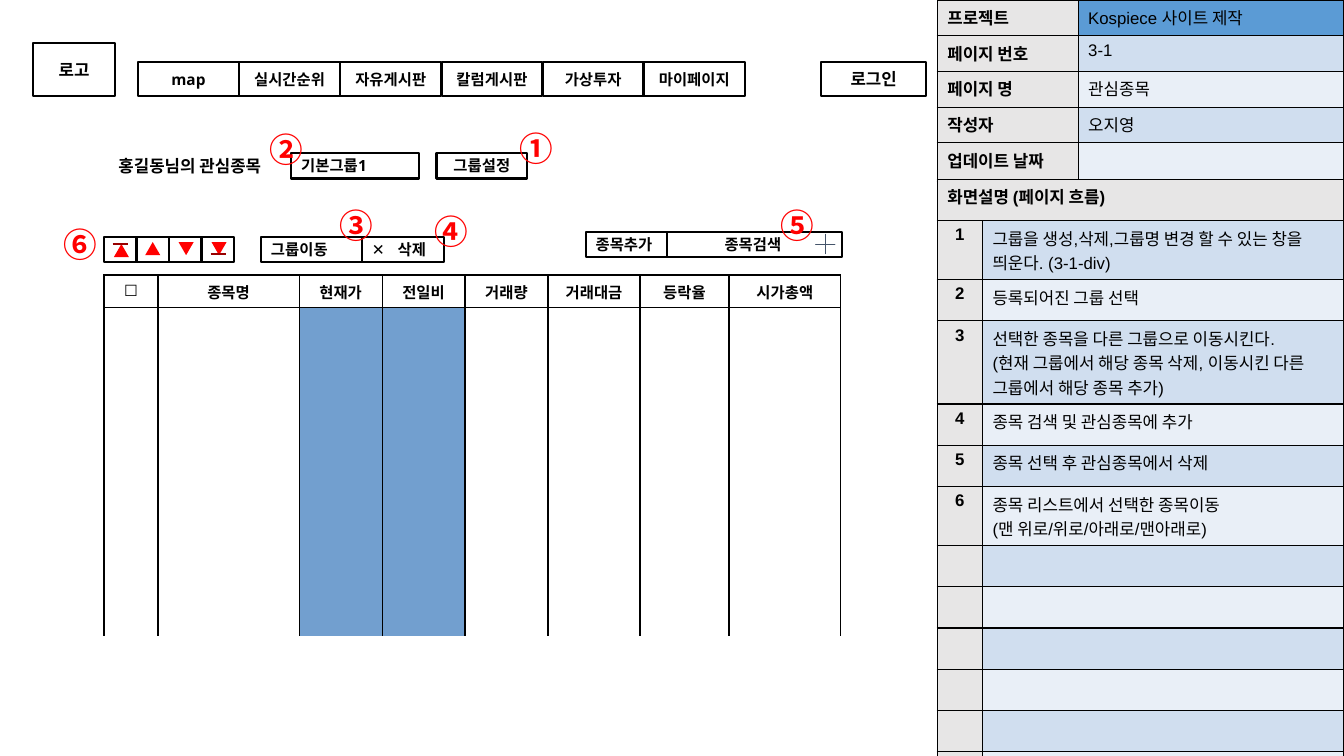
from lxml import etree
from pptx import Presentation
from pptx import util as u
from pptx.dml.color import RGBColor
from pptx.enum import shapes, text
from pptx.oxml.ns import qn

BLACK = RGBColor(0x00, 0x00, 0x00)
WHITE = RGBColor(0xFF, 0xFF, 0xFF)
RED = RGBColor(0xFF, 0x00, 0x00)
DARK_RED = RGBColor(0x98, 0x00, 0x00)
GRAY = RGBColor(0xE7, 0xE6, 0xE6)
SLATE = RGBColor(0x44, 0x54, 0x6A)
HEAD_BLUE = RGBColor(0x5B, 0x9B, 0xD5)
PRICE_BLUE = RGBColor(0x72, 0x9F, 0xCF)
BANDS = (RGBColor(0xD0, 0xDE, 0xEF), RGBColor(0xE9, 0xEF, 0xF7))

LEFT, CENTER = text.PP_ALIGN.LEFT, text.PP_ALIGN.CENTER
TOP, MIDDLE = text.MSO_ANCHOR.TOP, text.MSO_ANCHOR.MIDDLE
KOREAN = "Noto Sans CJK KR"


def write_text(tf, content, size=11, font="Open Sans", color=BLACK, bold=True,
               align=CENTER, indent=None, tab=None):
    """Write one paragraph per line of content."""
    for i, line in enumerate(content.split("\n")):
        p = tf.paragraphs[0] if i == 0 else tf.add_paragraph()
        p.alignment = align
        pPr = p._p.get_or_add_pPr()
        if indent:
            pPr.set("marL", str(u.Cm(indent)))
        if tab:
            tabs = etree.SubElement(pPr, qn("a:tabLst"))
            etree.SubElement(tabs, qn("a:tab"), pos=str(u.Cm(tab)), algn="l")
        r = p.add_run()
        r.text = line
        r.font.size, r.font.bold, r.font.name = u.Pt(size), bold, font
        r.font.color.rgb = color
        latin = r._r.get_or_add_rPr().find(qn("a:latin"))
        latin.addnext(latin.makeelement(qn("a:ea"), {"typeface": KOREAN}))


class Wireframe:
    def __init__(self, slide, line_width=1.5, border=1):
        self.s = slide
        self.line_width = line_width
        self.border = border

    def shape(self, x, y, w, h, kind=shapes.MSO_SHAPE.RECTANGLE, fill=None,
              line=BLACK, width=None, rotation=0):
        sp = self.s.shapes.add_shape(kind, u.Cm(x), u.Cm(y), u.Cm(w), u.Cm(h))
        sp.shadow.inherit = False
        sp.rotation = rotation
        if fill is None:
            sp.fill.background()
        else:
            sp.fill.solid()
            sp.fill.fore_color.rgb = fill
        if line is None:
            sp.line.fill.background()
        else:
            sp.line.color.rgb = line
            sp.line.width = u.Pt(width or self.line_width)
        return sp

    def box(self, x, y, w, h, label, fill=None, **fmt):
        tf = self.shape(x, y, w, h, fill=fill).text_frame
        tf.margin_left = tf.margin_right = tf.margin_top = tf.margin_bottom = u.Cm(0.25)
        tf.vertical_anchor = MIDDLE
        tf.word_wrap = True
        write_text(tf, label, **fmt)

    def label(self, x, y, w, h, content, anchor=TOP, **fmt):
        tf = self.s.shapes.add_textbox(u.Cm(x), u.Cm(y), u.Cm(w), u.Cm(h)).text_frame
        tf.word_wrap = True
        tf.vertical_anchor = anchor
        write_text(tf, content, **fmt)

    def line(self, x1, x2, y, color):
        c = self.s.shapes.add_connector(shapes.MSO_CONNECTOR.STRAIGHT,
                                        u.Cm(x1), u.Cm(y), u.Cm(x2), u.Cm(y))
        c.line.color.rgb = color
        c.line.width = u.Pt(self.line_width)
        etree.SubElement(c._element.spPr, qn("a:effectLst"))

    def table(self, x, y, cols, rows):
        frame = self.s.shapes.add_table(len(rows), len(cols), u.Cm(x), u.Cm(y),
                                        u.Cm(sum(cols)), u.Cm(sum(rows)))
        tbl = frame.table
        tbl.first_row = tbl.horz_banding = False
        for col, w in zip(tbl.columns, cols):
            col.width = u.Cm(w)
        for row, h in zip(tbl.rows, rows):
            row.height = u.Cm(h)
        return tbl

    def cell(self, cell, content, fill, sides="LRTB", anchor=TOP, **fmt):
        tcPr = cell._tc.get_or_add_tcPr()
        for side in "LRTB":
            ln = etree.SubElement(tcPr, qn(f"a:ln{side}"), w=str(u.Pt(self.border)))
            if side in sides:
                solid = etree.SubElement(ln, qn("a:solidFill"))
                etree.SubElement(solid, qn("a:srgbClr"), val=str(BLACK))
            else:
                etree.SubElement(ln, qn("a:noFill"))
        cell.fill.solid()
        cell.fill.fore_color.rgb = fill
        cell.vertical_anchor = anchor
        write_text(cell.text_frame, content, **fmt)


def main():
    prs = Presentation()
    prs.slide_width, prs.slide_height = u.Cm(33.87), u.Cm(19.05)
    wf = Wireframe(prs.slides.add_slide(prs.slide_layouts[6]))

    # Project details
    details = [("프로젝트", "Kospiece 사이트 제작"), ("페이지 번호", "3-1"),
               ("페이지 명", "관심종목"), ("작성자", "오지영"), ("업데이트 날짜", "")]
    note = dict(size=12, font="Arial")
    tbl = wf.table(23.62, 0, [3.55, 6.7], [0.9] * len(details))
    for i, (name, value) in enumerate(details):
        wf.cell(tbl.cell(i, 0), name, GRAY, align=LEFT, **note)
        fill = BANDS[(i + 1) % 2] if i else HEAD_BLUE
        wf.cell(tbl.cell(i, 1), value, fill, bold=False, align=LEFT, **note)

    # Screen description
    steps = ["그룹을 생성,삭제,그룹명 변경 할 수 있는 창을 띄운다. (3-1-div)",
             "등록되어진 그룹 선택",
             "선택한 종목을 다른 그룹으로 이동시킨다.\n"
             "(현재 그룹에서 해당 종목 삭제, 이동시킨 다른 그룹에서 해당 종목 추가)",
             "종목 검색 및 관심종목에 추가",
             "종목 선택 후 관심종목에서 삭제",
             "종목 리스트에서 선택한 종목이동\n(맨 위로/위로/아래로/맨아래로)"]
    row_count = 14
    tbl = wf.table(23.62, 4.52, [1.14, 9.11], [1.04] * row_count)
    tbl.cell(0, 0).merge(tbl.cell(0, 1))
    wf.cell(tbl.cell(0, 0), "화면설명 (페이지 흐름)", GRAY, align=LEFT, **note)
    for i in range(1, row_count):
        used = i <= len(steps)
        wf.cell(tbl.cell(i, 0), str(i) if used else "", GRAY, **note)
        wf.cell(tbl.cell(i, 1), steps[i - 1] if used else "", BANDS[(i - 1) % 2],
                bold=False, align=LEFT, **note)

    # Stock list
    tbl = wf.table(2.62, 6.93, [1.36, 1.47, 2.09, 2.09, 2.09, 2.09, 2.32, 2.24, 2.82],
                   [0.69, 8.29])
    heads = {0: "☐", 1: "종목명", 3: "현재가", 4: "전일비", 5: "거래량",
             6: "거래대금", 7: "등락율", 8: "시가총액"}
    for row in range(2):
        tbl.cell(row, 1).merge(tbl.cell(row, 2))
    for col, head in heads.items():
        font = KOREAN if head == "종목명" else "Arial"
        wf.cell(tbl.cell(0, col), head, WHITE, anchor=MIDDLE, font=font)
        wf.cell(tbl.cell(1, col), "", PRICE_BLUE if head == "현재가" else WHITE, sides="LRT")

    # Header and menu
    wf.box(0.84, 1.09, 2.06, 1.32, "로고", size=12)
    wf.box(20.7, 1.57, 2.64, 0.84, "로그인", size=12)
    menu = ["map", "실시간순위", "자유게시판", "칼럼게시판", "가상투자", "마이페이지"]
    for i, item in enumerate(menu):
        wf.box(3.48 + 2.55 * i, 1.57, 2.54, 0.84, item)

    # Group and stock controls
    wf.label(2.41, 3.71, 4.75, 0.94, "홍길동님의 관심종목", anchor=MIDDLE, size=12)
    wf.box(7.34, 3.86, 3.23, 0.64, "기본그룹1", align=LEFT)
    wf.box(11, 3.86, 2.29, 0.64, "그룹설정")
    wf.box(6.58, 5.97, 2.54, 0.64, "그룹이동", align=LEFT)
    wf.box(9.12, 5.97, 2.06, 0.64, "✕\t삭제", align=LEFT, tab=0.65)
    wf.box(14.76, 5.84, 2.29, 0.64, "종목추가", align=LEFT)
    wf.box(16.81, 5.84, 4.42, 0.64, "종목검색", fill=WHITE, align=LEFT, indent=1.2)
    plus = wf.shape(20.47, 5.82, 0.66, 0.66, shapes.MSO_SHAPE.MATH_PLUS, GRAY, SLATE, 0.75)
    plus.adjustments[0] = 0

    # Move buttons: to top, up, down, to bottom
    for i, (x, y, rotation) in enumerate([(2.87, 6.15, 0), (3.66, 6.1, 0),
                                          (4.5, 6.1, 180), (5.33, 6.1, 180)]):
        wf.shape(2.62 + 0.82 * i, 5.97, 0.82, 0.64)
        wf.shape(x, y, 0.38, 0.33, shapes.MSO_SHAPE.ISOSCELES_TRIANGLE, RED, None,
                 rotation=rotation)
    wf.line(2.84, 3.23, 6.15, DARK_RED)
    wf.line(5.31, 5.69, 6.4, DARK_RED)

    # Numbered markers
    for mark, x, y in [("①", 12.85, 3.1), ("②", 6.55, 3.12), ("③", 8.31, 5.05),
                       ("④", 10.69, 5.18), ("⑤", 19.41, 5.05), ("⑥", 1.35, 5.51)]:
        wf.label(x, y, 1.25, 1.27, mark, size=24, font=KOREAN, color=RED, align=LEFT)

    prs.save("out.pptx")


if __name__ == "__main__":
    main()
